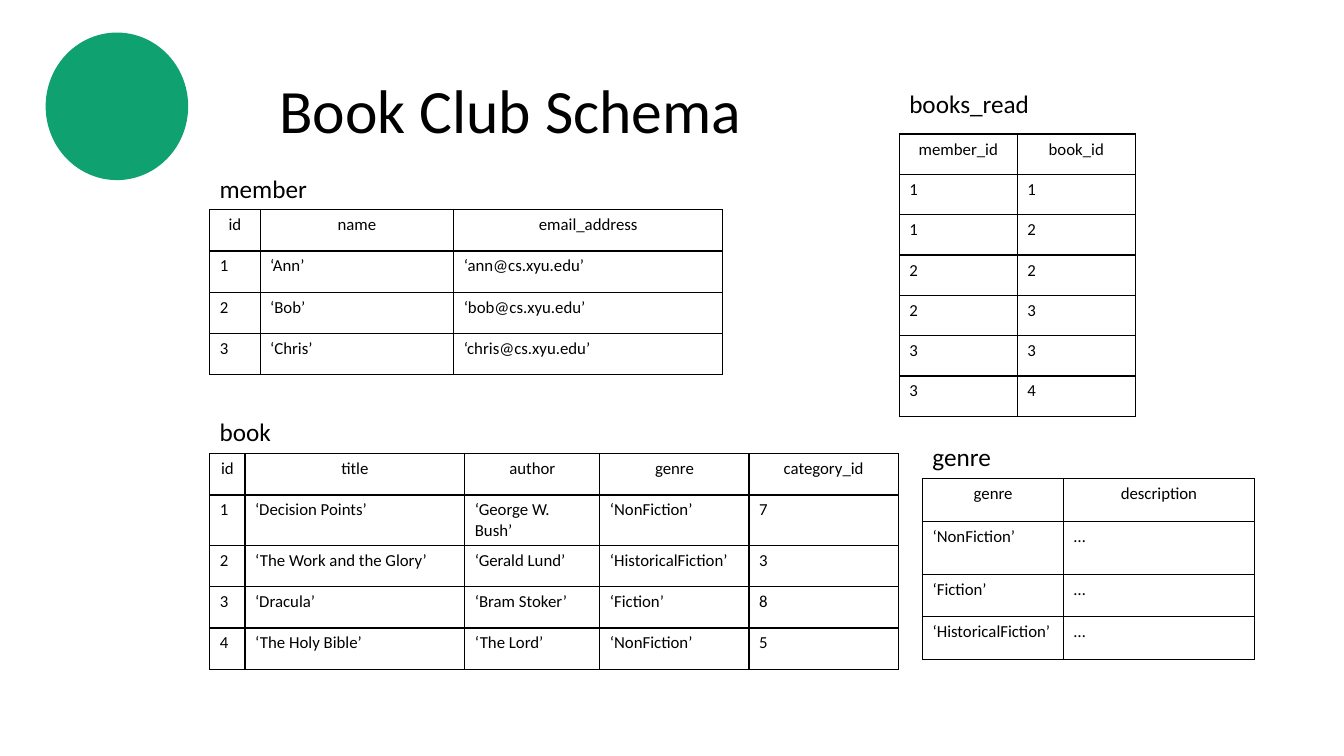
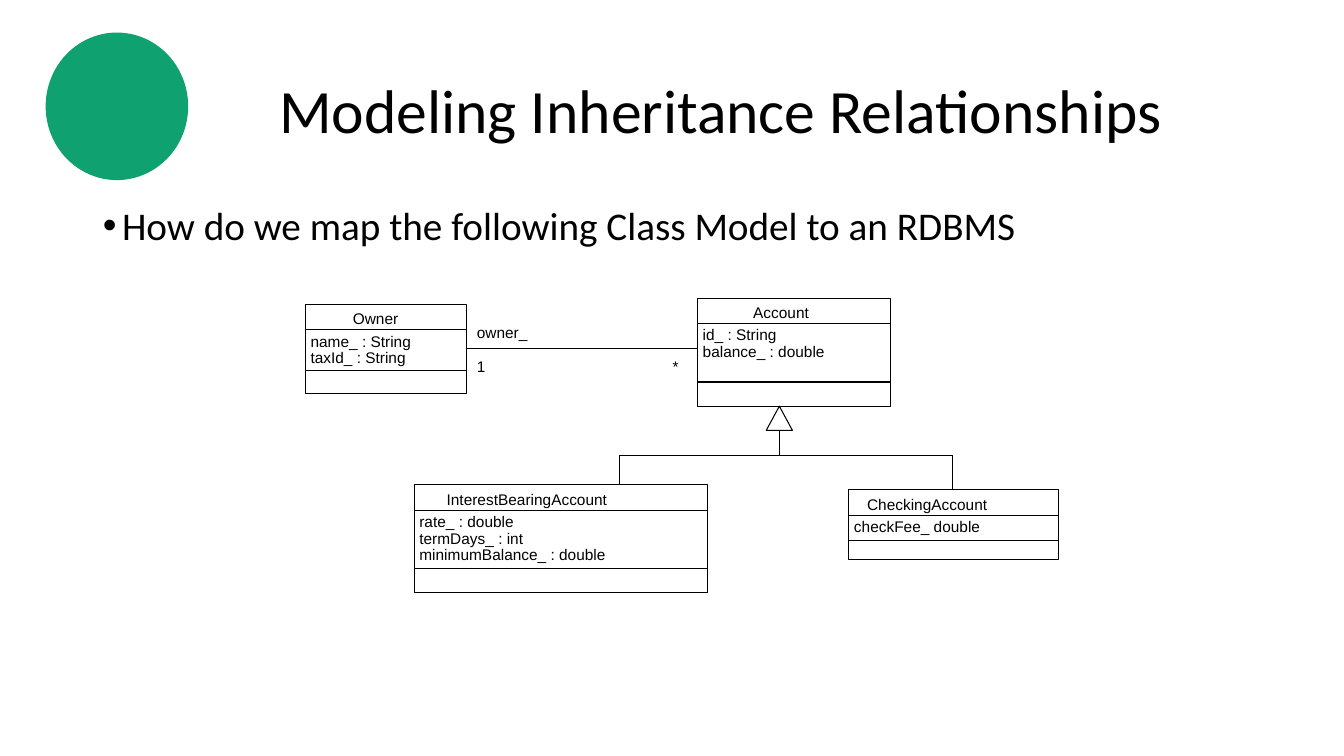
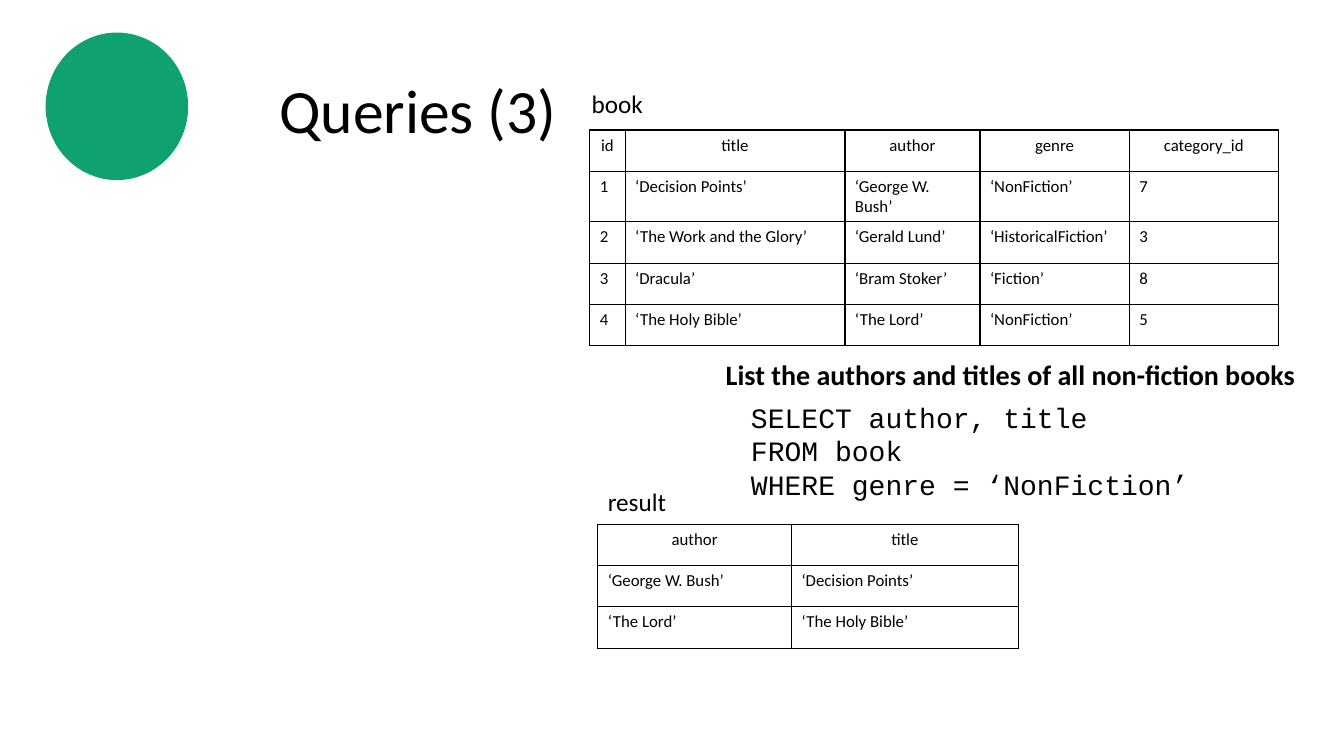
from dataclasses import dataclass

from lxml.etree import SubElement
from pptx import Presentation
from pptx.dml.color import RGBColor
from pptx.enum.shapes import MSO_CONNECTOR as LINK, MSO_SHAPE as SHAPE
from pptx.enum.text import MSO_ANCHOR as ANCHOR, MSO_AUTO_SIZE as FIT, PP_ALIGN as ALIGN
from pptx.oxml.ns import qn
from pptx.util import Inches, Pt


@dataclass(frozen=True)
class Theme:
    ink: RGBColor = RGBColor(0, 0, 0)
    paper: RGBColor = RGBColor(255, 255, 255)
    green: RGBColor = RGBColor(0x10, 0xA1, 0x70)
    main: str = "Calibri"
    uml: str = "Arial"
    code: str = "Courier New"
    title: int = 44
    body: int = 28
    query: int = 20
    label: int = 18
    cell: int = 12
    small: int = 11
    thin: float = 0.75
    edge: float = 1


T = Theme()
CIRCLE = (0.46, 0.33, 1.4, 1.45)
TITLE = (2.67, 0.4, 9.75, 1.45)
BODY = (0.92, 2, 11.5, 4.76)

BOOKS = [
    ("id", "title", "author", "genre", "category_id"),
    ("1", "‘Decision Points’", "‘George W. Bush’", "‘NonFiction’", "7"),
    ("2", "‘The Work and the Glory’", "‘Gerald Lund’", "‘HistoricalFiction’", "3"),
    ("3", "‘Dracula’", "‘Bram Stoker’", "‘Fiction’", "8"),
    ("4", "‘The Holy Bible’", "‘The Lord’", "‘NonFiction’", "5"),
]
BOOK_COLS = (0.35, 2.18, 1.34, 1.48, 1.48)
MEMBERS = [
    ("id", "name", "email_address"),
    ("1", "‘Ann’", "‘ann@cs.xyu.edu’"),
    ("2", "‘Bob’", "‘bob@cs.xyu.edu’"),
    ("3", "‘Chris’", "‘chris@cs.xyu.edu’"),
]
READS = [
    ("member_id", "book_id"),
    ("1", "1"), ("1", "2"), ("2", "2"), ("2", "3"), ("3", "3"), ("3", "4"),
]
GENRES = [
    ("genre", "description"),
    ("‘NonFiction’", "…"),
    ("‘Fiction’", "…"),
    ("‘HistoricalFiction’", "…"),
]
RESULT = [
    ("author", "title"),
    ("‘George W. Bush’", "‘Decision Points’"),
    ("‘The Lord’", "‘The Holy Bible’"),
]

# name, label box, table corner, column widths, row heights, cells
SCHEMA = [
    ("member", (2.08, 1.67, 1.13, 0.4), (2.08, 2.08), (0.5, 1.92, 2.67), [0.41] * 4, MEMBERS),
    ("book", (2.08, 4.08, 0.76, 0.4), (2.08, 4.5), BOOK_COLS, [0.41] * 5, BOOKS),
    ("books_read", (8.92, 0.83, 1.4, 0.4), (8.92, 1.33), (1.17, 1.17), [0.4] * 7, READS),
    ("genre", (9.15, 4.33, 0.79, 0.4), (9.15, 4.75), (1.4, 1.89), [0.42, 0.53, 0.42, 0.42], GENRES),
]
QUERY = [
    ("book", (5.77, 0.83, 0.76, 0.4), (5.85, 1.29), BOOK_COLS, [0.41] * 5, BOOKS),
    ("result", (5.93, 4.78, 0.84, 0.4), (5.93, 5.2), (1.92, 2.25), [0.41] * 3, RESULT),
]
TASK = "List the authors and titles of all non-fiction books"
SQL = ["SELECT author, title", "FROM book", "WHERE genre = ‘NonFiction’"]

# name, box, indent of the name, depth of the lower rule, fields
CLASSES = [
    ("InterestBearingAccount", (4.11, 4.81, 2.91, 1.07), 0.32, 0.83,
     ["rate_ : double", "termDays_ : int", "minimumBalance_ : double"]),
    ("CheckingAccount", (8.42, 4.86, 2.08, 0.69), 0.18, 0.5, ["checkFee_ double"]),
    ("Owner", (3.03, 3.02, 1.6, 0.88), 0.47, 0.66, ["name_ : String", "taxId_ : String"]),
    ("Account", (6.92, 2.96, 1.91, 1.07), 0.55, 0.83, ["id_ : String", "balance_ : double"]),
]
ENDS = [("owner_", 4.73, 3.21, 0.73), ("1", 4.73, 3.54, 0.12), ("*", 6.67, 3.54, 0.09)]
PEAK, BUS = (7.73, 4.03), 4.52
LINKS = [
    ((4.62, 3.46), (6.92, 3.46)),
    ((PEAK[0], BUS), PEAK),
    ((6.14, BUS), (9.45, BUS)),
    ((6.14, 4.81), (6.14, BUS)),
    ((9.45, 4.86), (9.45, BUS)),
]
HEAD = [(7.86, 4.27), (7.6, 4.27)]


def inch(nums):
    return [Inches(n) for n in nums]


def write(frame, lines, size, font=T.main, bold=False, align=ALIGN.LEFT):
    for i, line in enumerate(lines):
        para = frame.add_paragraph() if i else frame.paragraphs[0]
        para.alignment = align
        run = para.add_run()
        run.text = line
        face = run.font
        face.name, face.size, face.bold = font, Pt(size), bold
        face.color.rgb = T.ink


def add_text(shapes, lines, at, size, font=T.main, bold=False, inset=True):
    frame = shapes.add_textbox(*inch(at)).text_frame
    frame.word_wrap = True
    if not inset:
        frame.margin_left = frame.margin_right = 0
        frame.margin_top = frame.margin_bottom = 0
    write(frame, lines, size, font, bold)


def fill_holder(holder, at, text, size, anchor):
    holder.left, holder.top, holder.width, holder.height = inch(at)
    frame = holder.text_frame
    frame.auto_size, frame.vertical_anchor = FIT.NONE, anchor
    write(frame, [text], size)
    para = frame.paragraphs[0]
    para.line_spacing, para.space_before = 0.9, Pt(0)
    return para


def new_slide(deck, layout, title):
    slide = deck.slides.add_slide(deck.slide_layouts[layout])
    fill_holder(slide.shapes.title, TITLE, title, T.title, ANCHOR.MIDDLE)
    return slide


def outline(shape, fill=None, color=T.ink, width=T.thin):
    shape.shadow.inherit = False
    if fill is None:
        shape.fill.background()
    else:
        shape.fill.solid()
        shape.fill.fore_color.rgb = fill
    shape.line.color.rgb, shape.line.width = color, Pt(width)


def add_mark(deck, slide):
    """Put the green circle on the master, so that every slide shows it."""
    mark = slide.shapes.add_shape(SHAPE.OVAL, *inch(CIRCLE))
    outline(mark, T.green, T.green, T.edge)
    mark.element.nvSpPr.cNvPr.id = 20
    deck.slide_master.shapes.element.append(mark.element)


def add_line(shapes, start, end):
    line = shapes.add_connector(LINK.STRAIGHT, *inch(start + end))
    line.line.color.rgb, line.line.width = T.ink, Pt(T.thin)
    SubElement(line.element.spPr, qn("a:effectLst"))


def set_border(cell):
    props = cell._tc.get_or_add_tcPr()
    for side in ("L", "R", "T", "B"):
        edge = SubElement(props, qn(f"a:ln{side}"), w=str(Pt(T.edge)))
        fill = SubElement(edge, qn("a:solidFill"))
        SubElement(fill, qn("a:srgbClr"), val=str(T.ink))


def add_grid(shapes, name, label, corner, cols, rows, cells):
    add_text(shapes, [name], label, T.label)
    size = (sum(cols), sum(rows))
    table = shapes.add_table(len(rows), len(cols), *inch(corner + size)).table
    table.first_row = table.horz_banding = False
    for col, width in zip(table.columns, cols):
        col.width = Inches(width)
    for r, (row, height) in enumerate(zip(table.rows, rows)):
        row.height = Inches(height)
        for cell, text in zip(row.cells, cells[r]):
            set_border(cell)
            cell.fill.background()
            write(cell.text_frame, [text], T.cell, align=ALIGN.LEFT if r else ALIGN.CENTER)


def add_class(shapes, name, box, indent, depth, fields):
    x, y, w, h = box
    outline(shapes.add_shape(SHAPE.RECTANGLE, *inch(box)))
    for rule in (0.25, depth):
        add_line(shapes, (x, y + rule), (x + w, y + rule))
    texts = [(name, indent, 0.05)]
    texts += [(field, 0.05, 0.27 + 0.165 * i) for i, field in enumerate(fields)]
    for text, dx, dy in texts:
        add_text(shapes, [text], (x + dx, y + dy, w - dx, 0.18), T.small, T.uml, inset=False)


def add_model(shapes):
    for item in CLASSES:
        add_class(shapes, *item)
    for text, x, y, w in ENDS:
        add_text(shapes, [text], (x, y, w, 0.18), T.small, T.uml, inset=False)
    for start, end in LINKS:
        add_line(shapes, start, end)
    pen = shapes.build_freeform(*inch(PEAK))
    pen.add_line_segments([inch(spot) for spot in HEAD], close=True)
    outline(pen.convert_to_shape(), T.paper)


def main():
    deck = Presentation()
    deck.slide_width, deck.slide_height = inch((13.33, 7.5))

    schema = new_slide(deck, 5, "Book Club Schema")
    add_mark(deck, schema)
    for item in SCHEMA:
        add_grid(schema.shapes, *item)

    model = new_slide(deck, 1, "Modeling Inheritance Relationships")
    point = fill_holder(model.placeholders[1], BODY,
                        "How do we map the following Class Model to an RDBMS", T.body, ANCHOR.TOP)
    props = point._p.get_or_add_pPr()
    props.set("marL", str(Inches(0.19)))
    props.set("indent", str(Inches(-0.19)))
    SubElement(props, qn("a:buFont"), typeface=T.uml)
    SubElement(props, qn("a:buChar"), char="•")
    add_model(model.shapes.add_group_shape().shapes)

    query = new_slide(deck, 5, "Queries (3)")
    for item in QUERY:
        add_grid(query.shapes, *item)
    add_text(query.shapes, [TASK], (7.1, 3.5, 5.9, 0.44), T.query, bold=True)
    add_text(query.shapes, SQL, (7.35, 3.92, 4.75, 1.11), T.query, T.code)

    deck.save("out.pptx")


if __name__ == "__main__":
    main()
